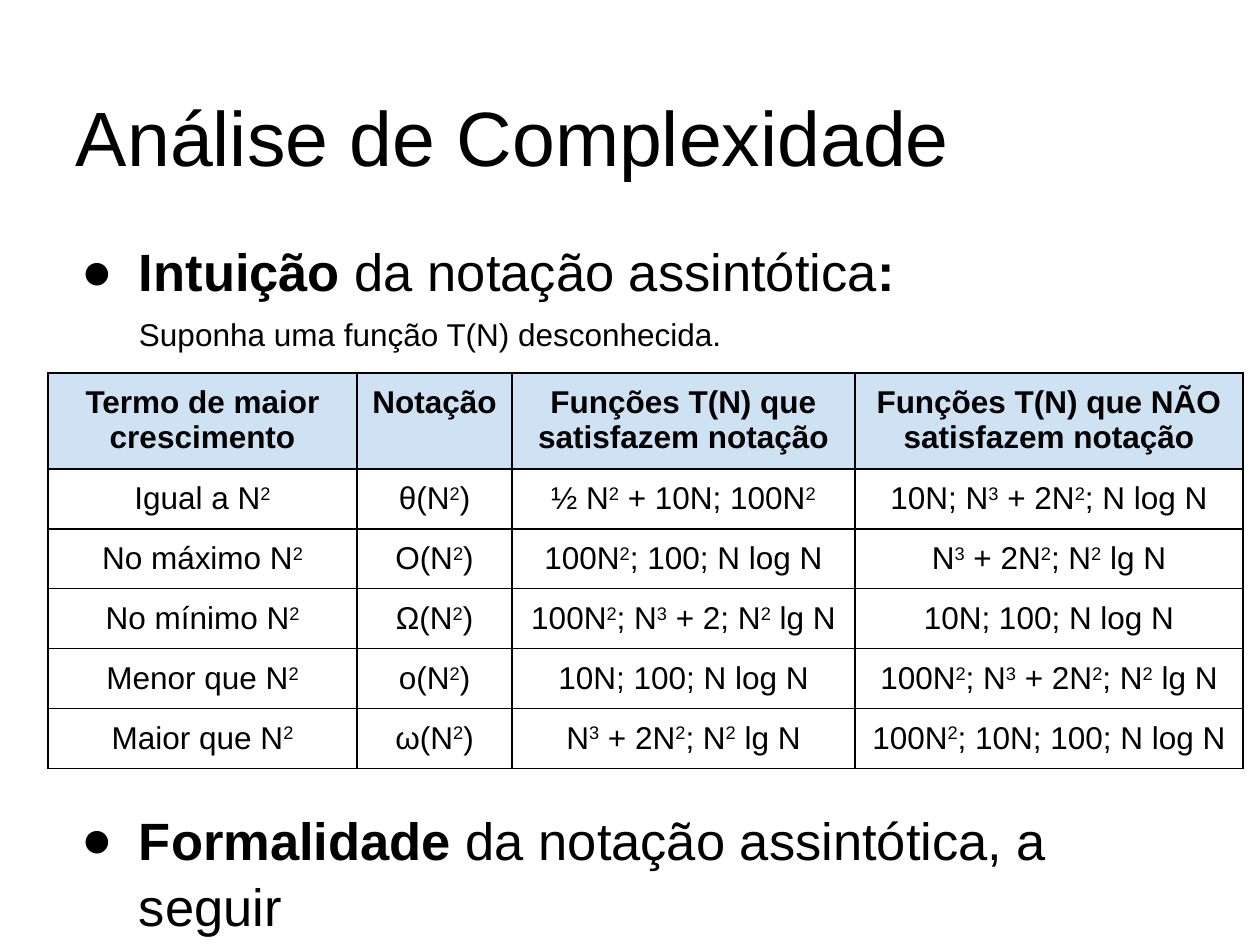
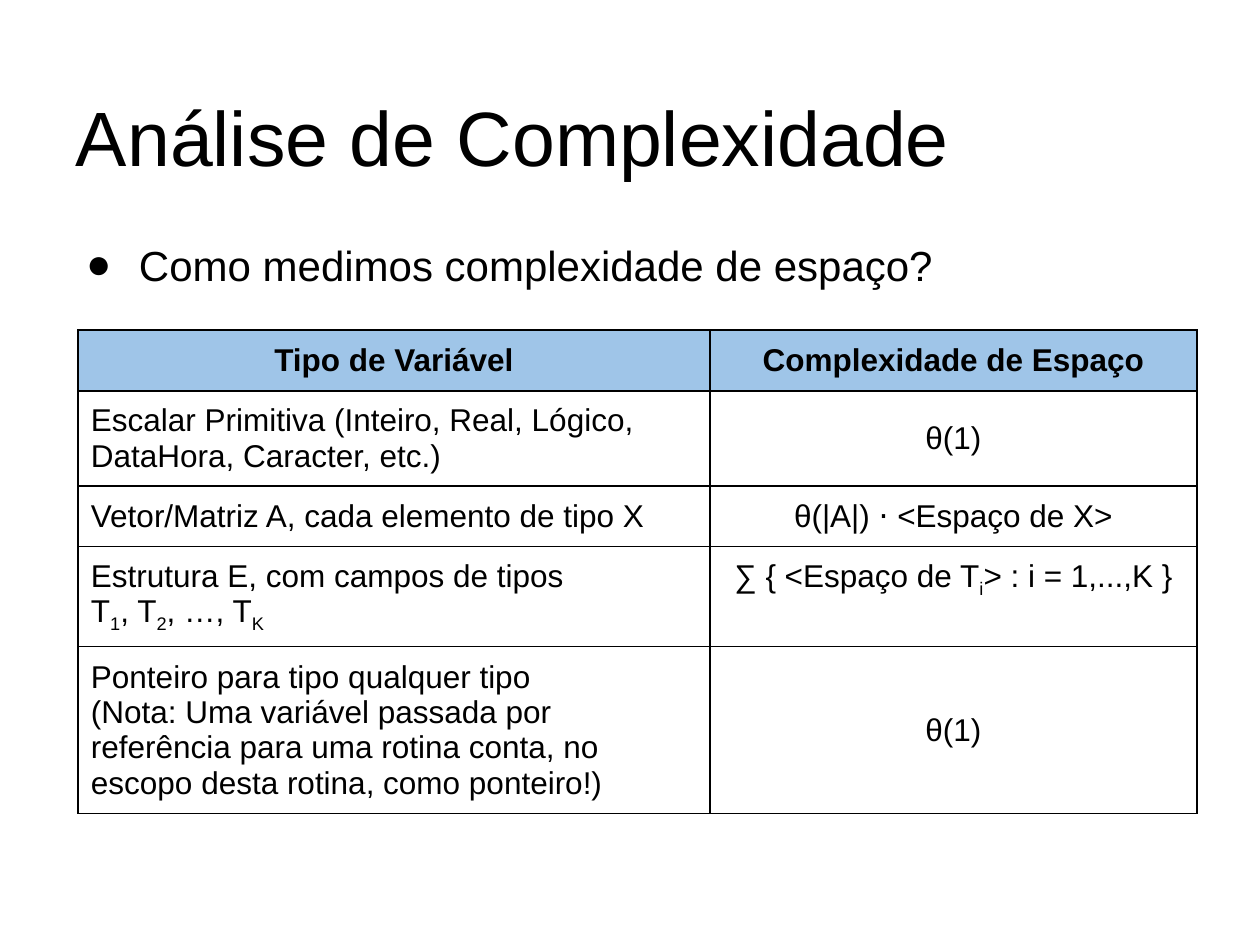
"""Build two slides on asymptotic notation and space complexity."""
from dataclasses import dataclass
from typing import Any, Iterator

from lxml.etree import SubElement
from pptx import Presentation
from pptx.dml.color import RGBColor
from pptx.enum.text import MSO_ANCHOR as Anchor, MSO_AUTO_SIZE as AutoSize, PP_ALIGN as Align
from pptx.oxml.ns import qn
from pptx.util import Emu, Pt

PX = 914400 / 126
COLORS = {"ink": "000000", "pale_header": "CFE2F3", "blue_header": "9FC5E8"}
FONT = "Arial"
TITLE = "Análise de Complexidade"
TITLE_BOX = (63, 38, 1134, 157)
BODY_BOX = (63, 220, 1134, 684)
TEXT_INDENT = 63
BASELINES = {"^": "30000", "_": "-25000"}


@dataclass
class Item:
    """A body paragraph with (text, bold) runs; hanging is zero without bullet."""
    runs: list[tuple[str, bool]]
    size: int
    hanging: int = 0
    before: int = 6


@dataclass
class Grid:
    """A table whose cell text marks superscripts with ^ and subscripts with _."""
    left: int
    top: int
    columns: list[int]
    heights: list[int]
    header: str
    rows: list[list[str]]
    left_columns: tuple[int, ...] = ()
    top_cells: tuple[tuple[int, int], ...] = ()
    anchor: Any = Anchor.MIDDLE


@dataclass
class Page:
    """The body items and the table of one slide."""
    items: list[Item]
    grid: Grid


PAGES = [
    Page(
        [
            Item([("Intuição", True), (" da notação assintótica", False), (":", True)], 30, 58, 0),
            Item([("Suponha uma função T(N) desconhecida.", False)], 18),
            Item([("Formalidade ", True), ("da notação assintótica, a seguir", False)], 30, 58, 259),
        ],
        Grid(48, 373, [309, 155, 343, 388], [96] + [60] * 5, "pale_header", [
            ["Termo de maior crescimento", "Notação", "Funções T(N) que satisfazem notação",
             "Funções T(N) que NÃO satisfazem notação"],
            ["Igual a N^2", "θ(N^2)", "½ N^2 + 10N; 100N^2", "10N; N^3 + 2N^2; N log N"],
            ["No máximo N^2", "O(N^2)", "100N^2; 100; N log N", "N^3 + 2N^2; N^2 lg N"],
            ["No mínimo N^2", "Ω(N^2)", "100N^2; N^3 + 2; N^2 lg N", "10N; 100; N log N"],
            ["Menor que N^2", "o(N^2)", "10N; 100; N log N", "100N^2; N^3 + 2N^2; N^2 lg N"],
            ["Maior que N^2", "ω(N^2)", "N^3 + 2N^2; N^2 lg N", "100N^2; 10N; 100; N log N"],
        ], anchor=Anchor.TOP),
    ),
    Page(
        [Item([("Como medimos complexidade de espaço?", False)], 24, 53, 0)],
        Grid(78, 330, [632, 487], [61, 95, 61, 100, 167], "blue_header", [
            ["Tipo de Variável", "Complexidade de Espaço"],
            ["Escalar Primitiva (Inteiro, Real, Lógico, DataHora, Caracter, etc.)", "θ(1)"],
            ["Vetor/Matriz A, cada elemento de tipo X", "θ(|A|) ⋅ <Espaço de X>"],
            ["Estrutura E, com campos de tipos \nT_1, T_2, …, T_K",
             "∑ { <Espaço de T_i> : i = 1,...,K }"],
            ["Ponteiro para tipo qualquer tipo\n(Nota: Uma variável passada por referência para "
             "uma rotina conta, no escopo desta rotina, como ponteiro!)", "θ(1)"],
        ], left_columns=(0,), top_cells=((3, 1),)),
    ),
]


def px(length: int) -> Emu:
    """Turn px into EMU."""
    return Emu(round(length * PX))


def set_values(target: Any, values: dict[str, Any]) -> None:
    """Set each named attribute of the target."""
    for name, value in values.items():
        setattr(target, name, value)


def color(name: str) -> RGBColor:
    """Look up a named colour."""
    return RGBColor.from_string(COLORS[name])


def add_run(para: Any, text: str, size: int, bold: bool = False, baseline: str = "") -> None:
    """Append a formatted run to a paragraph."""
    run = para.add_run()
    run.text = text
    set_values(run.font, {"name": FONT, "size": Pt(size), "bold": bold})
    run.font.color.rgb = color("ink")
    if baseline:
        run._r.get_or_add_rPr().set("baseline", baseline)


def split_scripts(text: str) -> Iterator[tuple[str, str]]:
    """Yield pieces of text with their baseline shift."""
    piece, baseline = "", ""
    for char in text:
        if char in BASELINES:
            yield piece, ""
            piece, baseline = "", BASELINES[char]
        elif baseline:
            yield char, baseline
            baseline = ""
        else:
            piece += char
    yield piece, ""


def prepare_box(box: Any, place: tuple[int, ...], anchor: Any, top_inset: int) -> Any:
    """Place a placeholder and return its formatted text frame."""
    set_values(box, dict(zip(("left", "top", "width", "height"), map(px, place))))
    frame = box.text_frame
    insets = {"margin_left": px(13), "margin_right": px(13),
              "margin_top": px(top_inset), "margin_bottom": px(13)}
    set_values(frame, {"word_wrap": True, "auto_size": AutoSize.NONE,
                       "vertical_anchor": anchor, **insets})
    return frame


def add_item(para: Any, item: Item) -> None:
    """Fill a body paragraph, with its bullet if it hangs."""
    props = para._p.get_or_add_pPr()
    props.set("marL", str(px(TEXT_INDENT)))
    props.set("indent", str(-px(item.hanging)))
    if item.hanging:
        SubElement(SubElement(props, qn("a:buClr")), qn("a:srgbClr")).set("val", COLORS["ink"])
        SubElement(props, qn("a:buChar")).set("char", "●")
    else:
        SubElement(props, qn("a:buNone"))
    set_values(para, {"alignment": Align.LEFT, "line_spacing": 1.04,
                      "space_before": Pt(item.before)})
    for text, bold in item.runs:
        add_run(para, text, item.size, bold)


def add_borders(cell: Any) -> None:
    """Draw thin lines on the four sides of a cell."""
    props = cell._tc.get_or_add_tcPr()
    for side in ("a:lnL", "a:lnR", "a:lnT", "a:lnB"):
        line = SubElement(props, qn(side))
        line.set("w", str(Pt(0.75)))
        SubElement(SubElement(line, qn("a:solidFill")), qn("a:srgbClr")).set("val", COLORS["ink"])


def fill_cell(cell: Any, grid: Grid, row: int, column: int) -> None:
    """Format one cell and write its text."""
    anchor = Anchor.TOP if (row, column) in grid.top_cells else grid.anchor
    set_values(cell, {"margin_left": px(13), "margin_right": px(13), "margin_top": px(12),
                      "margin_bottom": px(12), "vertical_anchor": anchor})
    add_borders(cell)
    if row == 0:
        cell.fill.solid()
        cell.fill.fore_color.rgb = color(grid.header)
    else:
        cell.fill.background()
    para = cell.text_frame.paragraphs[0]
    para.alignment = Align.LEFT if row and column in grid.left_columns else Align.CENTER
    for number, line in enumerate(grid.rows[row][column].split("\n")):
        if number:
            para.add_line_break()
        for text, baseline in split_scripts(line):
            if text:
                add_run(para, text, 18, row == 0, baseline)


def add_grid(slide: Any, grid: Grid) -> None:
    """Add a table to the slide."""
    size = px(sum(grid.columns)), px(sum(grid.heights))
    table = slide.shapes.add_table(len(grid.rows), len(grid.columns),
                                   px(grid.left), px(grid.top), *size).table
    set_values(table, {"first_row": False, "horz_banding": False})
    for column, width in zip(table.columns, grid.columns):
        column.width = px(width)
    for row, height in zip(table.rows, grid.heights):
        row.height = px(height)
    for row, texts in enumerate(grid.rows):
        for column in range(len(texts)):
            fill_cell(table.cell(row, column), grid, row, column)


def add_page(deck: Any, page: Page) -> None:
    """Add a slide with title, body and table."""
    slide = deck.slides.add_slide(deck.slide_layouts[1])
    title = prepare_box(slide.shapes.title, TITLE_BOX, Anchor.BOTTOM, 13).paragraphs[0]
    title.alignment = Align.LEFT
    add_run(title, TITLE, 44)
    body = prepare_box(slide.placeholders[1], BODY_BOX, Anchor.TOP, 17)
    for number, item in enumerate(page.items):
        add_item(body.add_paragraph() if number else body.paragraphs[0], item)
    add_grid(slide, page.grid)


def main() -> None:
    """Build and save the deck."""
    deck = Presentation()
    set_values(deck, {"slide_width": px(1260), "slide_height": px(945)})
    for page in PAGES:
        add_page(deck, page)
    deck.save("out.pptx")


if __name__ == "__main__":
    main()
